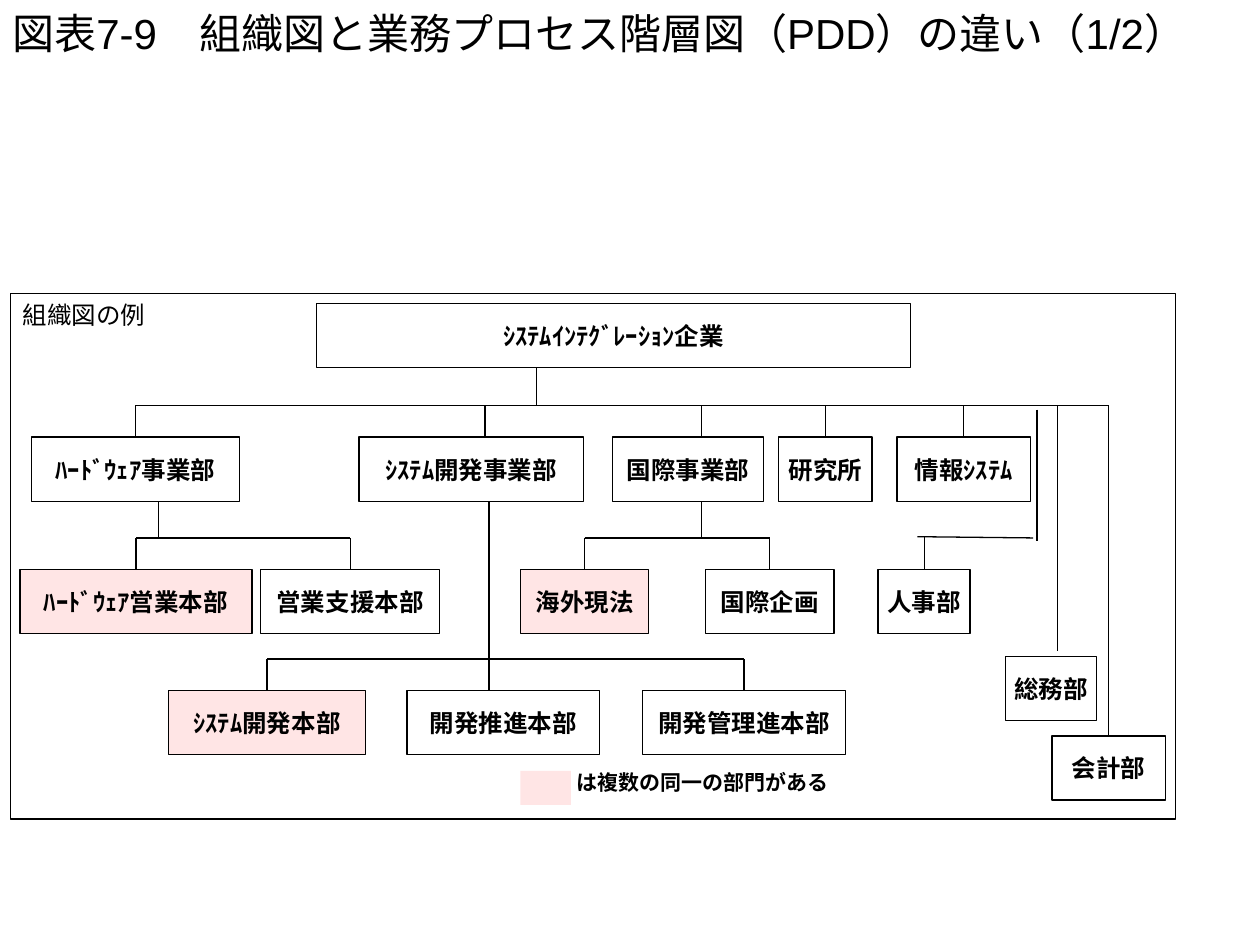
from dataclasses import dataclass, field
from typing import Optional

from lxml import etree
from pptx import Presentation
from pptx.dml.color import RGBColor
from pptx.enum.shapes import MSO_CONNECTOR, MSO_SHAPE
from pptx.enum.text import MSO_ANCHOR, PP_ALIGN
from pptx.oxml.ns import qn
from pptx.util import Pt

RECT = MSO_SHAPE.RECTANGLE
STRAIGHT = MSO_CONNECTOR.STRAIGHT
TOP, MIDDLE = MSO_ANCHOR.TOP, MSO_ANCHOR.MIDDLE
LEFT, CENTER = PP_ALIGN.LEFT, PP_ALIGN.CENTER
TOP_SIDE = 0


@dataclass(frozen=True)
class Theme:
    ink: RGBColor = RGBColor(0, 0, 0)
    white: RGBColor = RGBColor(0xFF, 0xFF, 0xFF)
    pink: RGBColor = RGBColor(0xFF, 0xCC, 0xCC)
    alpha: str = "50000"
    sans: str = "Arial"
    serif: str = "Times New Roman"
    title: float = 24
    label: float = 14
    note: float = 12
    line: float = 0.75


THEME = Theme()


@dataclass(frozen=True)
class Style:
    font: dict
    frame: dict = field(default_factory=dict)
    align: PP_ALIGN = LEFT


def face(name: str, size: float, bold: bool) -> dict:
    return {"name": name, "size": Pt(size), "bold": bold}


SIDES = {"margin_left": Pt(1.4), "margin_right": Pt(1.4)}
TITLE = Style(face(THEME.sans, THEME.title, False), {"vertical_anchor": MIDDLE})
UNIT = Style(face(THEME.sans, THEME.label, True),
             {"vertical_anchor": MIDDLE, **SIDES}, CENTER)
FRAME = Style(face(THEME.serif, THEME.label, False), {"vertical_anchor": TOP})
NOTE = Style(face(THEME.serif, THEME.note, True), {"vertical_anchor": TOP})


@dataclass(frozen=True)
class Unit:
    text: str
    left: float
    top: float
    width: float
    many: bool = False

    @property
    def mid(self) -> float:
        return self.left + self.width / 2


TALL = 36.7
RISE = 18
ROW_1, ROW_2, ROW_3 = 249.8, 325.4, 394.6
BAR_1, BAR_2, BAR_3 = (row - RISE for row in (ROW_1, ROW_2, ROW_3))

UNITS = {
    "root": Unit("ｼｽﾃﾑｲﾝﾃｸﾞﾚｰｼｮﾝ企業", 180.7, 173.3, 339.8),
    "hard": Unit("ﾊｰﾄﾞｳｪｱ事業部", 18, ROW_1, 118.8),
    "system": Unit("ｼｽﾃﾑ開発事業部", 205.2, ROW_1, 128.2),
    "global": Unit("国際事業部", 349.9, ROW_1, 86.4),
    "lab": Unit("研究所", 445, ROW_1, 53.3),
    "info": Unit("情報ｼｽﾃﾑ", 512.6, ROW_1, 76.3),
    "sales": Unit("ﾊｰﾄﾞｳｪｱ営業本部", 11.5, ROW_2, 132.5, True),
    "support": Unit("営業支援本部", 149, ROW_2, 102.2),
    "abroad": Unit("海外現法", 297.4, ROW_2, 73.4, True),
    "plan": Unit("国際企画", 403.2, ROW_2, 73.4),
    "staff": Unit("人事部", 501.8, ROW_2, 52.6),
    "build": Unit("ｼｽﾃﾑ開発本部", 96.5, ROW_3, 112.3, True),
    "promote": Unit("開発推進本部", 232.6, ROW_3, 110.2),
    "control": Unit("開発管理進本部", 367.2, ROW_3, 115.9),
    "affairs": Unit("総務部", 574.6, 375.1, 51.8),
    "accounts": Unit("会計部", 601.2, 420.5, 64.8),
}

# Each bar spans its first and last unit, with a drop to both.
BARS = [
    (BAR_1, "hard", "accounts"),
    (BAR_2, "sales", "support"),
    (BAR_3, "build", "control"),
    (BAR_2, "abroad", "plan"),
]

# Single drops from a bar that meet the top of a unit.
DROPS = [(BAR_1, "lab"), (BAR_1, "info"), (BAR_2 - 1, "staff")]

# Stems that stand off the middle of their units: x, start y, end y.
STEMS = [
    (306.7, 173.3 + TALL, BAR_1),
    (277.2, BAR_1, ROW_1),
    (401, BAR_1, ROW_1),
    (90.7, ROW_1 + TALL, BAR_2),
    (279.4, ROW_1 + TALL, ROW_3),
    (401, ROW_1 + TALL, BAR_2),
    (592.6, 234, 308.9),
    (604.1, BAR_1, 372.2),
]


def format_all(target, values: dict) -> None:
    for name, value in values.items():
        setattr(target, name, value)


def write(shape, text: str, style: Style) -> None:
    frame = shape.text_frame
    format_all(frame, {"word_wrap": True, **style.frame})
    para = frame.paragraphs[0]
    para.alignment = style.align
    run = para.add_run()
    run.text = text
    format_all(run.font, style.font)
    run.font.color.rgb = THEME.ink


def add_text(slide, text: str, place: tuple, style: Style) -> None:
    write(slide.shapes.add_textbox(*map(Pt, place)), text, style)


def add_box(slide, place: tuple, fill: Optional[RGBColor], lined: bool = True):
    """Add a rectangle with a half-clear fill, or none, and a thin edge."""
    shape = slide.shapes.add_shape(RECT, *map(Pt, place))
    shape.shadow.inherit = False
    if fill is None:
        shape.fill.background()
    else:
        shape.fill.solid()
        shape.fill.fore_color.rgb = fill
        color = shape.fill._xPr.find(".//" + qn("a:srgbClr"))
        etree.SubElement(color, qn("a:alpha"), val=THEME.alpha)
    if lined:
        shape.line.color.rgb = THEME.ink
        shape.line.width = Pt(THEME.line)
    else:
        shape.line.fill.background()
    return shape


def add_unit(slide, unit: Unit):
    fill = THEME.pink if unit.many else THEME.white
    shape = add_box(slide, (unit.left, unit.top, unit.width, TALL), fill)
    write(shape, unit.text, UNIT)
    return shape


def add_line(slide, x1: float, y1: float, x2: float, y2: float):
    line = slide.shapes.add_connector(STRAIGHT, *map(Pt, (x1, y1, x2, y2)))
    line.line.color.rgb = THEME.ink
    line.line.width = Pt(THEME.line)
    etree.SubElement(line._element.spPr, qn("a:effectLst"))
    return line


def add_drop(slide, bar: float, unit: Unit, shape) -> None:
    """Join a bar to the top of a unit."""
    line = add_line(slide, unit.mid, bar, unit.mid, unit.top)
    line.end_connect(shape, TOP_SIDE)


def main() -> None:
    deck = Presentation()
    deck.slide_width, deck.slide_height = Pt(720), Pt(540)
    slide = deck.slides.add_slide(deck.slide_layouts[6])

    add_text(slide, "図表7-9　組織図と業務プロセス階層図（PDD）の違い（1/2）",
             (0, 0, 720, 37.4), TITLE)
    boxes = {key: add_unit(slide, unit) for key, unit in UNITS.items()}

    for bar, first, last in BARS:
        add_line(slide, UNITS[first].mid, bar, UNITS[last].mid, bar)
        for key in (first, last):
            add_drop(slide, bar, UNITS[key], boxes[key])
    for bar, key in DROPS:
        add_drop(slide, bar, UNITS[key], boxes[key])
    for x, start, end in STEMS:
        add_line(slide, x, start, x, end)
    add_line(slide, 524.2, 306.7, 590.4, 307.4)

    add_box(slide, (297.4, 440.6, 28.8, 19.4), THEME.pink, lined=False)
    add_text(slide, "は複数の同一の部門がある", (322.6, 436.3, 187.9, 21.6), NOTE)
    frame = add_box(slide, (5.8, 167.8, 666, 300.2), None)
    write(frame, "組織図の例", FRAME)
    deck.save("out.pptx")


if __name__ == "__main__":
    main()
